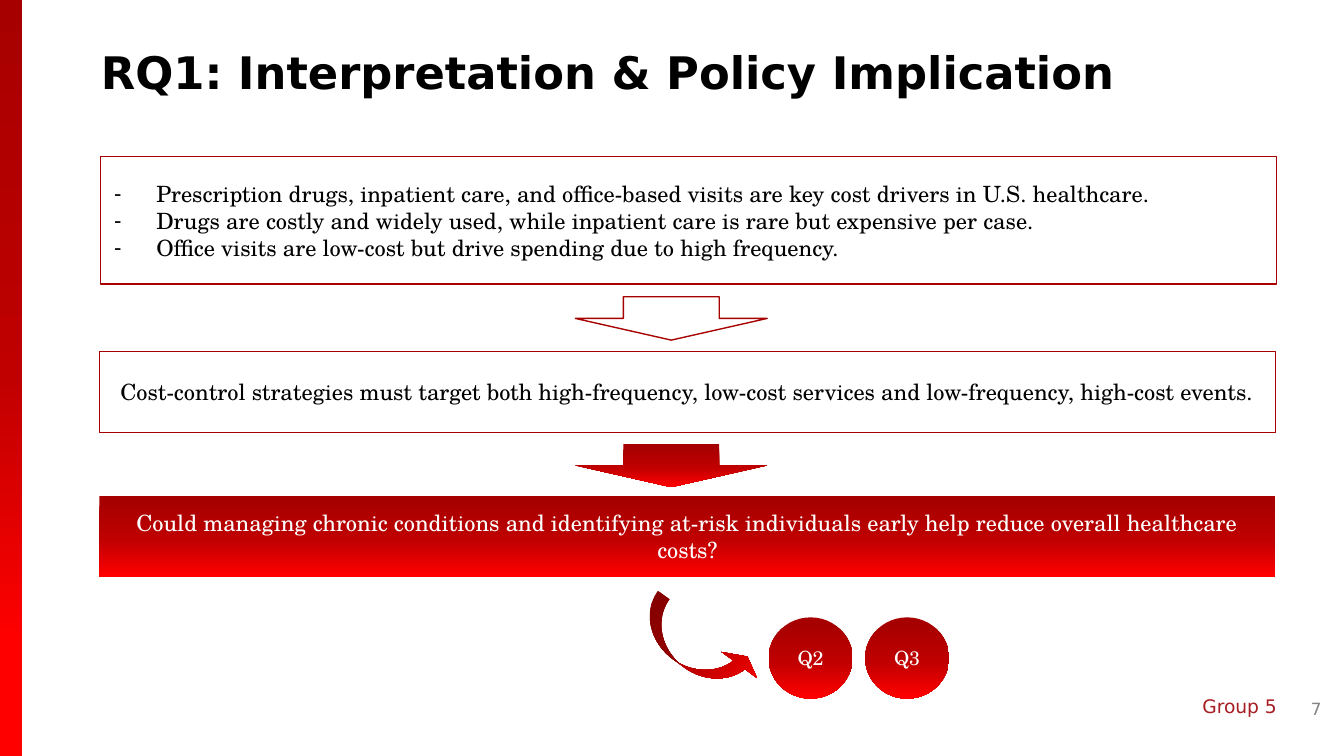
from copy import deepcopy
from dataclasses import dataclass

from pptx import Presentation
from pptx.dml.color import RGBColor
from pptx.enum.shapes import MSO_SHAPE as Preset
from pptx.enum.text import MSO_ANCHOR as Anchor, MSO_AUTO_SIZE as AutoSize, PP_ALIGN as Align
from pptx.oxml.ns import qn
from pptx.oxml.xmlchemy import OxmlElement
from pptx.util import Emu, Pt

SCALE = 9525


@dataclass(frozen=True)
class Theme:
    white: str = "FFFFFF"
    black: str = "000000"
    dark_red: str = "A70000"
    footer_red: str = "A71E23"
    grey: str = "828383"
    reds: tuple = ("A70000", "C00000", "FF0000")
    bar_stops: tuple = (0, 0.5, 0.85)
    shape_stops: tuple = (0.09, 0.55, 0.99)
    sans: str = "DejaVu Sans"
    serif: str = "TeX Gyre Schola"
    title_size: float = 24
    body_size: float = 12
    circle_size: float = 10.5
    footer_size: float = 10
    number_size: float = 9
    outline: float = 0.75


@dataclass(frozen=True)
class Area:
    left: int
    top: int
    width: int
    height: int

    def emu(self) -> list:
        return [Emu(side * SCALE) for side in (self.left, self.top, self.width, self.height)]


@dataclass(frozen=True)
class Style:
    size: float
    color: str
    font: str
    bold: bool = False
    align: Align = Align.LEFT


@dataclass(frozen=True)
class Figure:
    preset: Preset
    area: Area
    outlined: bool = False
    text: str = ""
    size: float = 0
    rotation: float = 0
    adjustments: tuple = ()


THEME = Theme()
TITLE = Style(THEME.title_size, THEME.black, THEME.sans, bold=True)
BODY = Style(THEME.body_size, THEME.black, THEME.serif)
FOOTER = Style(THEME.footer_size, THEME.footer_red, THEME.sans, align=Align.RIGHT)
NUMBER = Style(THEME.number_size, THEME.grey, THEME.sans, align=Align.RIGHT)

FINDINGS = (
    "Prescription drugs, inpatient care, and office-based visits are key cost drivers in U.S. healthcare.",
    "Drugs are costly and widely used, while inpatient care is rare but expensive per case.",
    "Office visits are low-cost but drive spending due to high frequency.",
)
STRATEGY = (
    "Cost-control strategies must target both high-frequency, low-cost services "
    "and low-frequency, high-cost events."
)
QUESTION = (
    "Could managing chronic conditions and identifying at-risk individuals early "
    "help reduce overall healthcare costs?"
)
FIGURES = (
    Figure(Preset.DOWN_ARROW, Area(411, 212, 137, 31), outlined=True),
    Figure(Preset.RECTANGLE, Area(71, 251, 840, 58), True, STRATEGY, THEME.body_size),
    Figure(Preset.DOWN_ARROW, Area(411, 317, 137, 31)),
    Figure(Preset.RECTANGLE, Area(71, 354, 840, 58), False, QUESTION, THEME.body_size),
    Figure(Preset.OVAL, Area(549, 441, 60, 58), False, "Q2", THEME.circle_size),
    Figure(Preset.OVAL, Area(618, 441, 60, 58), False, "Q3", THEME.circle_size),
    Figure(Preset.CURVED_RIGHT_ARROW, Area(482, 416, 33, 95), rotation=306.3,
           adjustments=(0.31, 0.95, 0.25)),
)


def place(shape, area: Area) -> None:
    shape.left, shape.top, shape.width, shape.height = area.emu()


def paint_gradient(shape, positions: tuple) -> None:
    shape.fill.gradient()
    stops = shape.element.spPr.find(qn("a:gradFill")).find(qn("a:gsLst"))
    stops.append(deepcopy(stops[-1]))
    shape.fill.gradient_angle = 270
    for stop, position, color in zip(shape.fill.gradient_stops, positions, THEME.reds):
        stop.position = position
        stop.color.rgb = RGBColor.from_string(color)


def paint_outlined(shape) -> None:
    shape.fill.solid()
    shape.fill.fore_color.rgb = RGBColor.from_string(THEME.white)
    shape.line.color.rgb = RGBColor.from_string(THEME.dark_red)
    shape.line.width = Pt(THEME.outline)


def add_bullet(para) -> None:
    properties = para._p.get_or_add_pPr()
    properties.set("marL", str(30 * SCALE))
    properties.set("indent", str(-30 * SCALE))
    bullet = OxmlElement("a:buChar")
    bullet.set("char", "-")
    properties.append(bullet)


def write(shape, lines: tuple, style: Style, inset: bool = True, bullets: bool = False) -> None:
    frame = shape.text_frame
    frame.word_wrap = True
    frame.auto_size = AutoSize.NONE
    frame.vertical_anchor = Anchor.MIDDLE
    if not inset:
        frame.margin_left = frame.margin_right = frame.margin_top = frame.margin_bottom = 0
    for index, line in enumerate(lines):
        para = frame.add_paragraph() if index else frame.paragraphs[0]
        para.alignment = style.align
        para.space_before = Pt(0)
        if bullets:
            add_bullet(para)
        span = para.add_run()
        span.text = line
        span.font.size = Pt(style.size)
        span.font.name = style.font
        span.font.bold = style.bold
        span.font.color.rgb = RGBColor.from_string(style.color)


def draw_figure(page, figure: Figure) -> None:
    shape = page.shapes.add_shape(figure.preset, *figure.area.emu())
    shape.shadow.inherit = False
    shape.rotation = figure.rotation
    for index, value in enumerate(figure.adjustments):
        shape.adjustments[index] = value
    if figure.outlined:
        paint_outlined(shape)
    else:
        paint_gradient(shape, THEME.shape_stops)
        shape.line.fill.background()
    if figure.text:
        color = THEME.black if figure.outlined else THEME.white
        write(shape, (figure.text,), Style(figure.size, color, THEME.serif, align=Align.CENTER))


def draw_bar(page) -> None:
    bar = page.shapes.add_shape(Preset.RECTANGLE, *Area(0, 0, 16, 540).emu())
    bar.shadow.inherit = False
    bar.line.fill.background()
    paint_gradient(bar, THEME.bar_stops)


def draw_label(page, area: Area, text: str, style: Style) -> None:
    box = page.shapes.add_textbox(*area.emu())
    write(box, (text,), style, inset=False)


def main() -> None:
    deck = Presentation()
    deck.slide_width, deck.slide_height = Emu(960 * SCALE), Emu(540 * SCALE)
    page = deck.slides.add_slide(deck.slide_layouts[1])
    draw_bar(page)

    title = page.shapes.title
    place(title, Area(72, 16, 848, 70))
    write(title, ("RQ1: Interpretation & Policy Implication",), TITLE, inset=False)

    findings = page.placeholders[1]
    place(findings, Area(72, 112, 840, 91))
    paint_outlined(findings)
    write(findings, FINDINGS, BODY, bullets=True)

    for figure in FIGURES:
        draw_figure(page, figure)
    draw_label(page, Area(346, 488, 566, 33), "Group 5", FOOTER)
    draw_label(page, Area(920, 491, 24, 31), "7", NUMBER)
    deck.save("out.pptx")


if __name__ == "__main__":
    main()
